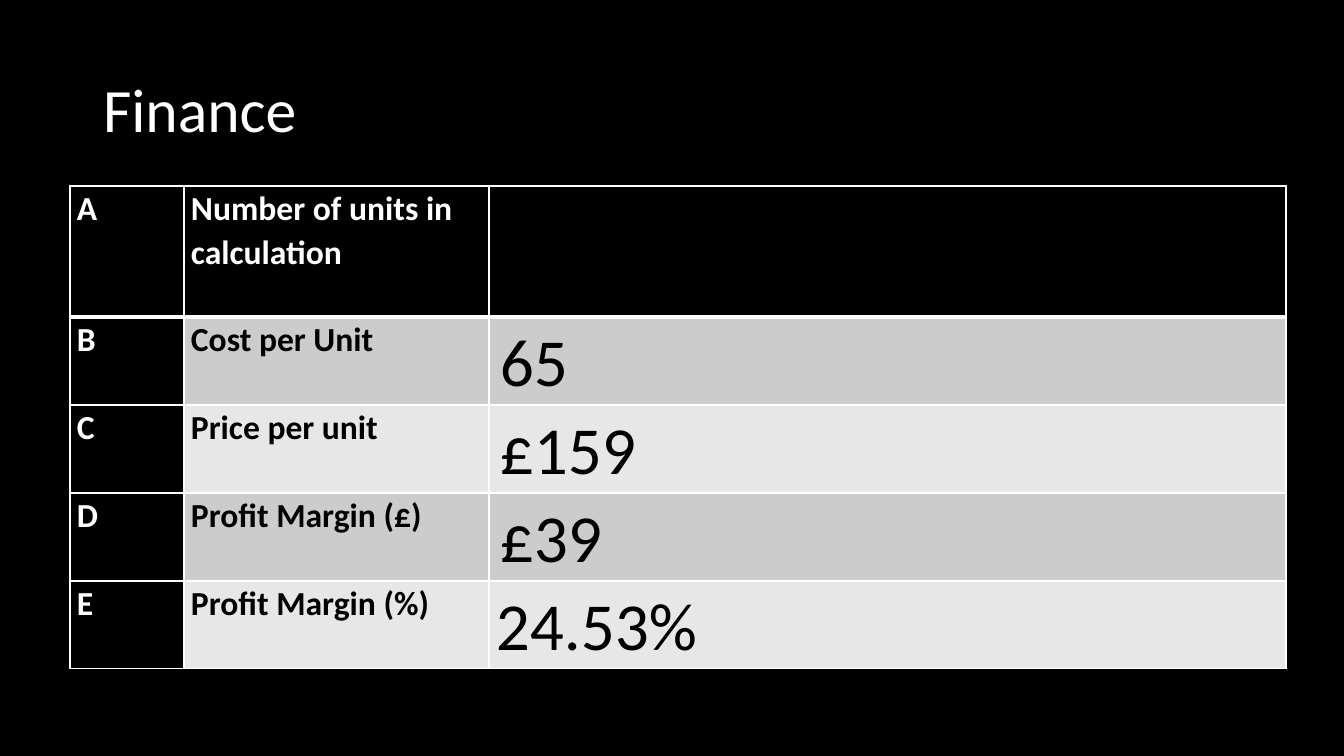
from lxml import etree
from pptx import Presentation
from pptx.dml.color import RGBColor
from pptx.enum.text import MSO_ANCHOR, MSO_AUTO_SIZE, PP_ALIGN
from pptx.oxml.ns import qn
from pptx.util import Emu, Pt

PX = 914400 / 100.8
BLACK = RGBColor(0x00, 0x00, 0x00)
WHITE = RGBColor(0xFF, 0xFF, 0xFF)
DARK_BAND = RGBColor(0xCC, 0xCC, 0xCC)
LIGHT_BAND = RGBColor(0xE7, 0xE7, 0xE7)


def px(length):
    return Emu(round(length * PX))


def write(frame, text, size=24, color=WHITE, bold=False, spacing=1.07):
    para = frame.paragraphs[0]
    para.alignment = PP_ALIGN.LEFT
    para.line_spacing = spacing
    span = para.add_run()
    span.text = text
    span.font.name = "Calibri"
    span.font.size = Pt(size)
    span.font.bold = bold
    span.font.color.rgb = color


# Slide
deck = Presentation()
deck.slide_width, deck.slide_height = px(1344), px(756)
page = deck.slides.add_slide(deck.slide_layouts[5])
page.background.fill.solid()
page.background.fill.fore_color.rgb = BLACK

# Title
title = page.shapes.title
title.left, title.top, title.width, title.height = px(93), px(40), px(1159), px(146)
title.text_frame.auto_size = MSO_AUTO_SIZE.NONE
title.text_frame.vertical_anchor = MSO_ANCHOR.MIDDLE
write(title.text_frame, "Finance", size=44, spacing=0.9)

# Finance table
finance_rows = [
    ("A", "Number of units in calculation", ""),
    ("B", "Cost per Unit", "65"),
    ("C", "Price per unit", "£159"),
    ("D", "Profit Margin (£)", "£39"),
    ("E", "Profit Margin (%)", "24.53%"),
]
column_widths = [114, 305, 797]
row_heights = [131, 88, 88, 88, 88]
table = page.shapes.add_table(
    len(row_heights), len(column_widths), px(70), px(186),
    px(sum(column_widths)), px(sum(row_heights))).table
for column, width in zip(table.columns, column_widths):
    column.width = px(width)
for row, height in zip(table.rows, row_heights):
    row.height = px(height)

for r, row_texts in enumerate(finance_rows):
    band = DARK_BAND if r % 2 else LIGHT_BAND
    for c, text in enumerate(row_texts):
        cell = table.cell(r, c)
        on_black = r == 0 or c == 0

        # White borders, with a thick rule under the header row
        properties = cell._tc.get_or_add_tcPr()
        for side in ("lnL", "lnR", "lnT", "lnB"):
            thick = (r, side) in ((0, "lnB"), (1, "lnT"))
            border = etree.SubElement(properties, qn(f"a:{side}"), w=str(Pt(3 if thick else 1)))
            paint = etree.SubElement(border, qn("a:solidFill"))
            etree.SubElement(paint, qn("a:srgbClr"), val=str(WHITE))

        # Fill, margins and text
        cell.fill.solid()
        cell.fill.fore_color.rgb = BLACK if on_black else band
        indented = c == 2 and r < len(finance_rows) - 1
        cell.margin_left = px(11 if indented else 7)
        cell.margin_right = px(7)
        cell.margin_top = cell.margin_bottom = 0
        if text:
            write(cell.text_frame, text, size=48 if c == 2 else 24,
                  color=WHITE if on_black else BLACK, bold=c < 2)

deck.save("out.pptx")
